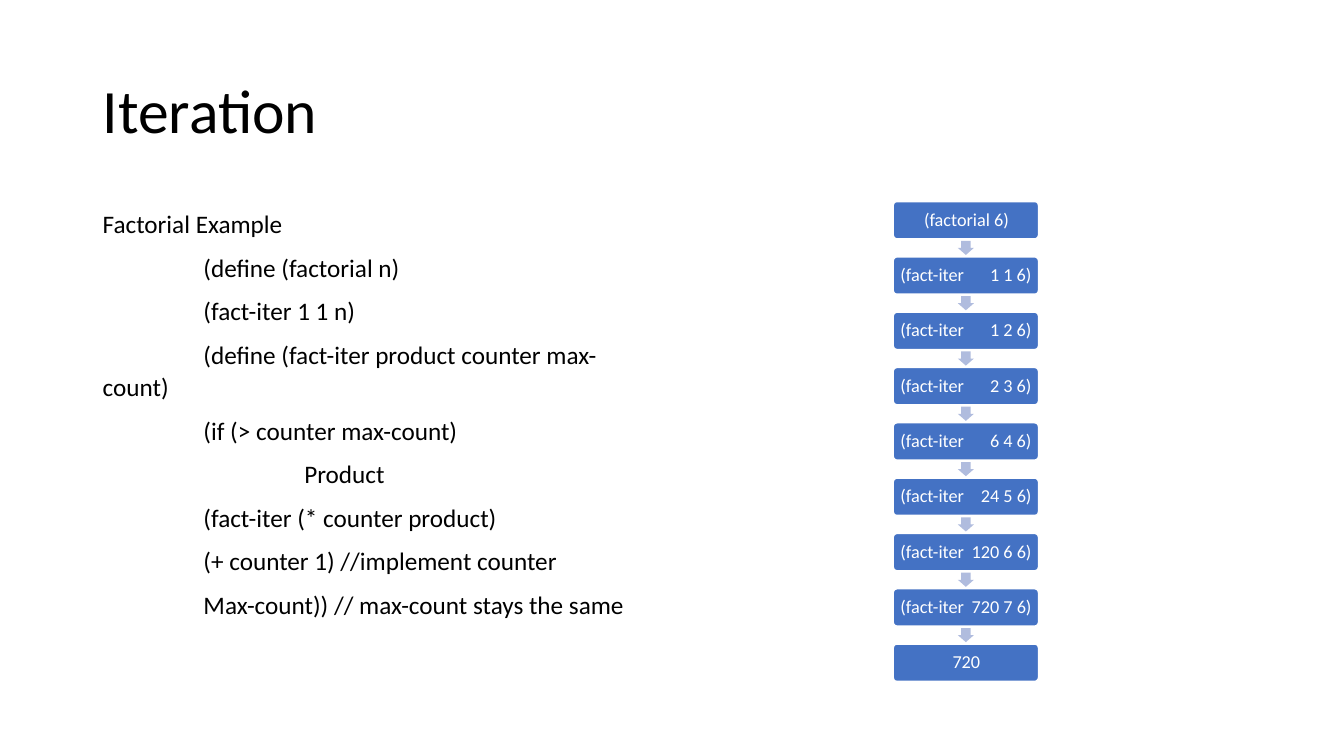
from lxml.etree import SubElement
from pptx import Presentation
from pptx.dml.color import RGBColor
from pptx.enum.shapes import MSO_SHAPE
from pptx.enum.text import MSO_ANCHOR, MSO_AUTO_SIZE, PP_ALIGN
from pptx.oxml.ns import qn
from pptx.util import Inches, Pt

TITLE = "Iteration"
CODE_LINES = [
    "Factorial Example",
    "\t(define (factorial n)",
    "\t(fact-iter 1 1 n)",
    "\t(define (fact-iter product counter max-\t\t\tcount)",
    "\t(if (> counter max-count)",
    "\t\tProduct",
    "\t(fact-iter (* counter product)",
    "\t(+ counter 1) //implement counter",
    "\tMax-count)) // max-count stays the same",
]
ITERATIONS = [(1, 1, 6), (1, 2, 6), (2, 3, 6), (6, 4, 6), (24, 5, 6), (120, 6, 6), (720, 7, 6)]
STEPS = [
    "(factorial 6)",
    *[f"(fact-iter\t{product} {counter} {limit})" for product, counter, limit in ITERATIONS],
    "720",
]

FONT = "Calibri"
BLACK = RGBColor(0x00, 0x00, 0x00)
WHITE = RGBColor(0xFF, 0xFF, 0xFF)
STEP_BLUE = RGBColor(0x44, 0x72, 0xC4)
ARROW_BLUE = RGBColor(0xB0, 0xBC, 0xDE)

SLIDE_WIDTH, SLIDE_HEIGHT = 13.33, 7.5
MARGIN = 0.92
CONTENT_TOP, CONTENT_HEIGHT = 2, 4.76
STEP_LEFT, STEP_WIDTH, STEP_HEIGHT = 8.86, 1.44, 0.37
STEP_PITCH = (CONTENT_HEIGHT - STEP_HEIGHT) / (len(STEPS) - 1)
ARROW_WIDTH, ARROW_HEIGHT = 0.16, 0.14
CODE_TABS = [(inch, "l") for inch in range(1, 8)]
STEP_TABS = [(1.3, "r")]


def write_text(shape, *lines, size, color=BLACK, align=PP_ALIGN.LEFT, anchor=MSO_ANCHOR.TOP,
               spacing=0.9, after=0, insets=(0.1, 0.05, 0.1, 0.05), tabs=()):
    frame = shape.text_frame
    frame.word_wrap = True
    frame.auto_size = MSO_AUTO_SIZE.NONE
    frame.vertical_anchor = anchor
    frame.margin_left, frame.margin_top, frame.margin_right, frame.margin_bottom = map(Inches, insets)
    for index, line in enumerate(lines):
        paragraph = frame.add_paragraph() if index else frame.paragraphs[0]
        paragraph.alignment = align
        paragraph.line_spacing = spacing
        paragraph.space_before = Pt(0)
        paragraph.space_after = Pt(after)
        if tabs:
            tab_list = SubElement(paragraph._p.get_or_add_pPr(), qn("a:tabLst"))
            for position, side in tabs:
                SubElement(tab_list, qn("a:tab"), pos=str(Inches(position)), algn=side)
        run = paragraph.add_run()
        run.text = line
        run.font.name = FONT
        run.font.size = Pt(size)
        run.font.color.rgb = color


def add_block(slide, preset, left, top, width, height, fill, adjustments):
    shape = slide.shapes.add_shape(preset, Inches(left), Inches(top), Inches(width), Inches(height))
    shape.shadow.inherit = False
    shape.fill.solid()
    shape.fill.fore_color.rgb = fill
    shape.line.fill.background()
    for index, value in enumerate(adjustments):
        shape.adjustments[index] = value
    return shape


def add_step(slide, text, top):
    step = add_block(slide, MSO_SHAPE.ROUNDED_RECTANGLE, STEP_LEFT, top,
                     STEP_WIDTH, STEP_HEIGHT, STEP_BLUE, [0.1])
    step.line.color.rgb = WHITE
    step.line.width = Pt(1)
    tabbed = "\t" in text
    write_text(step, text, size=13, color=WHITE, anchor=MSO_ANCHOR.MIDDLE,
               align=PP_ALIGN.LEFT if tabbed else PP_ALIGN.CENTER,
               insets=(0.06, 0.05, 0.05, 0.05), tabs=STEP_TABS if tabbed else ())


def add_arrow(slide, step_top):
    gap_middle = step_top + (STEP_HEIGHT + STEP_PITCH) / 2
    add_block(slide, MSO_SHAPE.DOWN_ARROW, STEP_LEFT + (STEP_WIDTH - ARROW_WIDTH) / 2,
              gap_middle - ARROW_HEIGHT / 2, ARROW_WIDTH, ARROW_HEIGHT, ARROW_BLUE, [0.6, 0.5])


def main():
    presentation = Presentation()
    presentation.slide_width = Inches(SLIDE_WIDTH)
    presentation.slide_height = Inches(SLIDE_HEIGHT)
    slide = presentation.slides.add_slide(presentation.slide_layouts[5])

    title = slide.shapes.title
    title.left, title.top = Inches(MARGIN), Inches(0.4)
    title.width, title.height = Inches(SLIDE_WIDTH - 2 * MARGIN), Inches(1.45)
    write_text(title, TITLE, size=44, anchor=MSO_ANCHOR.MIDDLE)

    code = slide.shapes.add_textbox(Inches(MARGIN), Inches(CONTENT_TOP),
                                    Inches(5.67), Inches(CONTENT_HEIGHT))
    write_text(code, *CODE_LINES, size=18, spacing=1.07, after=8, tabs=CODE_TABS)

    for index, text in enumerate(STEPS):
        top = CONTENT_TOP + index * STEP_PITCH
        add_step(slide, text, top)
        if index < len(STEPS) - 1:
            add_arrow(slide, top)

    presentation.save("out.pptx")


if __name__ == "__main__":
    main()
